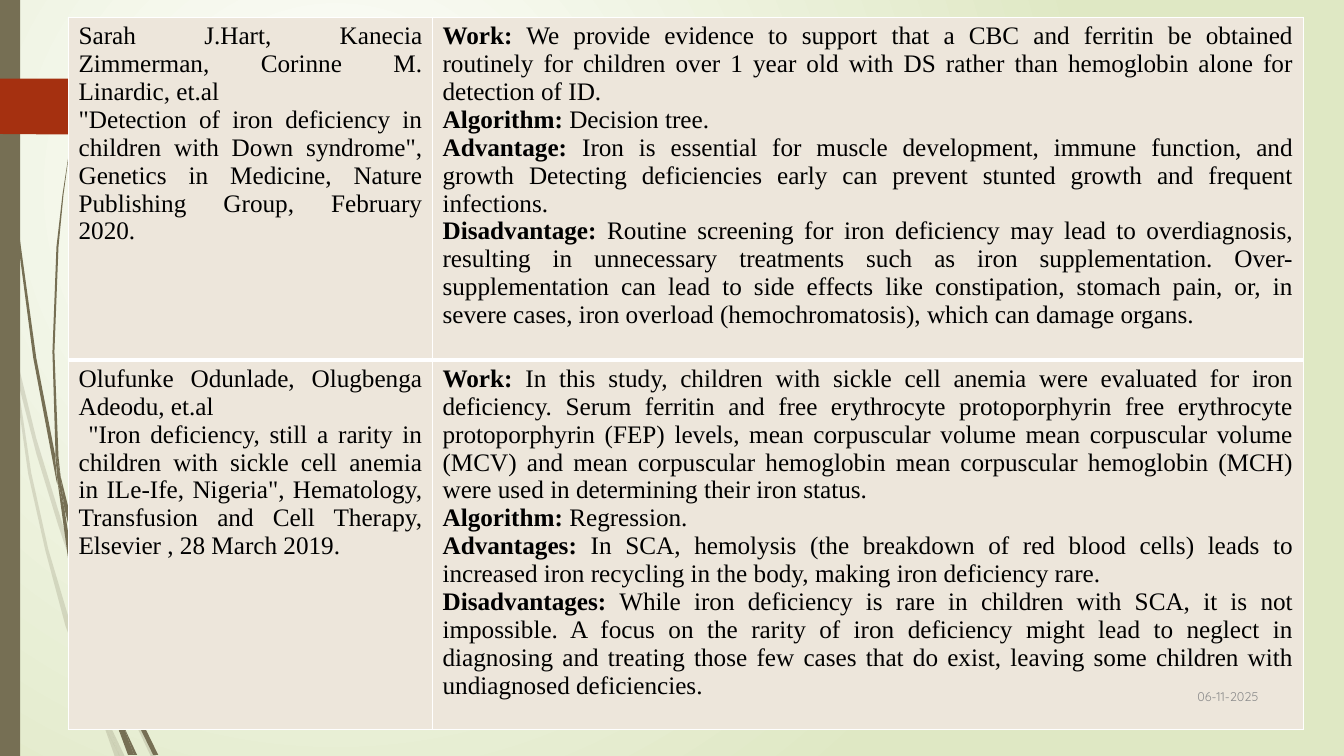
"""Build a slide with a two-row survey table of iron deficiency studies."""
import pptx
import pptx.dml.color
import pptx.enum.shapes
import pptx.enum.text
import pptx.oxml
import pptx.oxml.ns
import pptx.util
from pptx.util import Inches

RGBColor = pptx.dml.color.RGBColor
WHITE = RGBColor(0xFF, 0xFF, 0xFF)
BLACK = RGBColor(0, 0, 0)
GREEN = RGBColor(0xDF, 0xE8, 0xC4)
BROWN = RGBColor(0x76, 0x6F, 0x54)
RED = RGBColor(0xA5, 0x30, 0x10)
CREAM = RGBColor(0xED, 0xE6, 0xDB)
GREY = RGBColor(0x8C, 0x8C, 0x8C)
SERIF = "Times New Roman"
ALIGN = pptx.enum.text.PP_ALIGN

PALE = [
    [(0.58, 5.22), (0.84, 5.99), (0.85, 5.86), (0.62, 5.2), (0.36, 4.35),
     (0.14, 3.45), (0.17, 3.76), (0.36, 4.5)],
    [(0.92, 6.07), (0.88, 5.96), (0.88, 6.1), (1.23, 6.94), (1.5, 7.51),
     (1.55, 7.51), (1.27, 6.92)],
    [(1.19, 7.51), (1.24, 7.51), (1.05, 7.11)],
    [(0.93, 6.83), (0.7, 6.19), (0.48, 5.45), (0.31, 4.69), (0.17, 3.76),
     (0.11, 3.5), (0.28, 4.7), (0.45, 5.46), (0.65, 6.21), (0.92, 6.93),
     (1.01, 7.14), (0.99, 7.07)],
    [(1.01, 7.14), (1.14, 7.51), (1.19, 7.51)],
    [(0.96, 6.92), (0.93, 6.83), (0.99, 7.07), (1.01, 7.14), (1.19, 7.51),
     (1.05, 7.11)],
]
DARK = [
    [(0.07, 1.1), (0.17, 2.33), (0.33, 3.55), (0.56, 4.77), (0.57, 4.81),
     (0.55, 4.57), (0.55, 4.53), (0.36, 3.55), (0.19, 2.32), (0.08, 1.09),
     (0.05, 0.48), (0.04, 0), (0.03, 0), (0.04, 0.48)],
    [(0.88, 5.92), (1.06, 6.45), (1.06, 6.31), (0.93, 5.9), (0.75, 5.32),
     (0.6, 4.72), (0.64, 5.05), (0.75, 5.49)],
    [(1.13, 6.49), (1.1, 6.41), (1.11, 6.56), (1.32, 7.08), (1.52, 7.49),
     (1.57, 7.49), (1.36, 7.06)],
    [(1.1, 6.91), (0.98, 6.57), (0.72, 5.56), (0.64, 5.05), (0.57, 4.77),
     (0.68, 5.57), (0.93, 6.59), (1.11, 7.08), (1.17, 7.22), (1.16, 7.17)],
    [(0.6, 4.72), (0.58, 4.53), (0.54, 3.49), (0.58, 2.45), (0.63, 1.93),
     (0.7, 1.41), (0.62, 1.93), (0.56, 2.45), (0.52, 3.49), (0.55, 4.49)],
    [(1.33, 7.49), (1.36, 7.49), (1.22, 7.19)],
    [(0.57, 4.77), (0.64, 5.05), (0.6, 4.72), (0.55, 4.49), (0.55, 4.53)],
    [(1.17, 7.22), (1.27, 7.49), (1.31, 7.49)],
    [(1.16, 7.06), (1.1, 6.91), (1.16, 7.17), (1.17, 7.22), (1.3, 7.49),
     (1.33, 7.49), (1.22, 7.19)],
]
ARROW = [(1.73, 1.08), (1.48, 1.33), (1.46, 1.34), (1.36, 1.34), (0, 1.33),
         (0, 0.78), (1.46, 0.78), (1.48, 0.79), (1.73, 1.04), (1.74, 1.06)]

STUDIES = [
    ([("", "Sarah J.Hart, Kanecia Zimmerman, Corinne M. Linardic, et.al"),
      ("", '"Detection of iron deficiency in children with Down syndrome", '
       "Genetics in Medicine, Nature Publishing Group, February 2020.")],
     [("Work:", " We provide evidence to support that a CBC and ferritin be "
       "obtained routinely for children over 1 year old with DS rather than "
       "hemoglobin alone for detection of ID."),
      ("Algorithm:", " Decision tree."),
      ("Advantage:", " Iron is essential for muscle development, immune "
       "function, and growth Detecting deficiencies early can prevent "
       "stunted growth and frequent infections."),
      ("Disadvantage:", " Routine screening for iron deficiency may lead to "
       "overdiagnosis, resulting in unnecessary treatments such as iron "
       "supplementation. Over-supplementation can lead to side effects like "
       "constipation, stomach pain, or, in severe cases, iron overload "
       "(hemochromatosis), which can damage organs.")]),
    ([("", "Olufunke Odunlade, Olugbenga Adeodu, et.al"),
      ("", ' "Iron deficiency, still a rarity in children with sickle cell '
       'anemia in ILe-Ife, Nigeria", Hematology, Transfusion and Cell '
       "Therapy, Elsevier , 28 March 2019.")],
     [("Work:", " In this study, children with sickle cell anemia were "
       "evaluated for iron deficiency. Serum ferritin and free erythrocyte "
       "protoporphyrin free erythrocyte protoporphyrin (FEP) levels, mean "
       "corpuscular volume mean corpuscular volume (MCV) and mean "
       "corpuscular hemoglobin mean corpuscular hemoglobin (MCH) were used "
       "in determining their iron status."),
      ("Algorithm:", " Regression."),
      ("Advantages:", " In SCA, hemolysis (the breakdown of red blood cells) "
       "leads to increased iron recycling in the body, making iron "
       "deficiency rare."),
      ("Disadvantages:", " While iron deficiency is rare in children with "
       "SCA, it is not impossible. A focus on the rarity of iron deficiency "
       "might lead to neglect in diagnosing and treating those few cases "
       "that do exist, leaving some children with undiagnosed "
       "deficiencies.")]),
]


def make(markup):
    """Parse a drawing element from its markup."""
    space = pptx.oxml.ns.nsdecls("a")
    return pptx.oxml.parse_xml(markup.replace(" ", f" {space} ", 1))


def paint_back(slide):
    """Fill the background with a round gradient."""
    fill = slide.background.fill
    fill.gradient()
    for stop, tint, place in zip(fill.gradient_stops, (WHITE, GREEN), (0, 1)):
        stop.color.rgb = tint
        stop.position = place
    grad = slide.element.find(".//" + pptx.oxml.ns.qn("a:gradFill"))
    line = grad.find(pptx.oxml.ns.qn("a:lin"))
    grad.replace(line, make(
        '<a:path path="circle"><a:fillToRect l="50000" t="50000" '
        'r="100000" b="100000"/></a:path>'))


def coat(shape, color, alpha=100):
    """Give a shape a flat fill without line or shadow."""
    shape.shadow.inherit = False
    shape.line.fill.background()
    shape.fill.solid()
    shape.fill.fore_color.rgb = color
    if alpha < 100:
        tint = shape.element.find(".//" + pptx.oxml.ns.qn("a:srgbClr"))
        tint.append(make(f'<a:alpha val="{alpha * 1000}"/>'))


def add_form(slide, points, color, alpha=100):
    """Draw a closed outline through points in inches."""
    spots = [(Inches(x), Inches(y)) for x, y in points]
    form = slide.shapes.build_freeform(*spots[0])
    form.add_line_segments(spots[1:], close=True)
    coat(form.convert_to_shape(), color, alpha)


def add_run(para, text, size, font, color, bold=False):
    """Append one styled run."""
    run = para.add_run()
    run.text = text
    run.font.size = pptx.util.Pt(size)
    run.font.name = font
    run.font.color.rgb = color
    run.font.bold = bold


def fill_cell(cell, items, top, base):
    """Write labelled paragraphs into a cell and draw its borders."""
    cell.fill.solid()
    cell.fill.fore_color.rgb = CREAM
    sides = (("L", 1), ("R", 1), ("T", top), ("B", base))
    for spot, (side, width) in enumerate(sides):
        cell._tc.get_or_add_tcPr().insert(spot, make(
            f'<a:ln{side} w="{width * 12700}"><a:solidFill>'
            f'<a:srgbClr val="{WHITE}"/></a:solidFill></a:ln{side}>'))
    frame = cell.text_frame
    for spot, (label, text) in enumerate(items):
        para = frame.add_paragraph() if spot else frame.paragraphs[0]
        para.alignment = ALIGN.JUSTIFY
        if label:
            add_run(para, label, 18, SERIF, BLACK, True)
        add_run(para, text, 18, SERIF, BLACK)


def add_grid(slide):
    """Add the table of studies."""
    table = slide.shapes.add_table(2, 2, Inches(0.68), Inches(0.17),
                                   Inches(12.25), Inches(7.07)).table
    table.first_row = table.horz_banding = False
    for col, width in zip(table.columns, (3.61, 8.64)):
        col.width = Inches(width)
    for row, height in zip(table.rows, (3.4, 3.67)):
        row.height = Inches(height)
    for row, study, edge in zip(table.rows, STUDIES, ((1, 3), (3, 1))):
        for cell, items in zip(row.cells, study):
            fill_cell(cell, items, *edge)


def add_date(slide):
    """Add the date in the lower right corner."""
    box = slide.shapes.add_textbox(Inches(11.33), Inches(6.7),
                                   Inches(1.25), Inches(0.41))
    frame = box.text_frame
    frame.word_wrap = True
    frame.vertical_anchor = pptx.enum.text.MSO_ANCHOR.MIDDLE
    para = frame.paragraphs[0]
    para.alignment = ALIGN.RIGHT
    add_run(para, "06-11-2025", 9, "Quicksand", GREY)


def main():
    """Build and save the slide."""
    deck = pptx.Presentation()
    deck.slide_width, deck.slide_height = Inches(13.33), Inches(7.5)
    slide = deck.slides.add_slide(deck.slide_layouts[6])
    paint_back(slide)
    for wisps, alpha in ((PALE, 20), (DARK, 100)):
        for points in wisps:
            add_form(slide, points, BROWN, alpha)
    bar = slide.shapes.add_shape(pptx.enum.shapes.MSO_SHAPE.RECTANGLE,
                                 0, 0, Inches(0.2), Inches(7.5))
    coat(bar, BROWN)
    add_form(slide, ARROW, RED)
    add_grid(slide)
    add_date(slide)
    deck.save("out.pptx")


if __name__ == "__main__":
    main()
